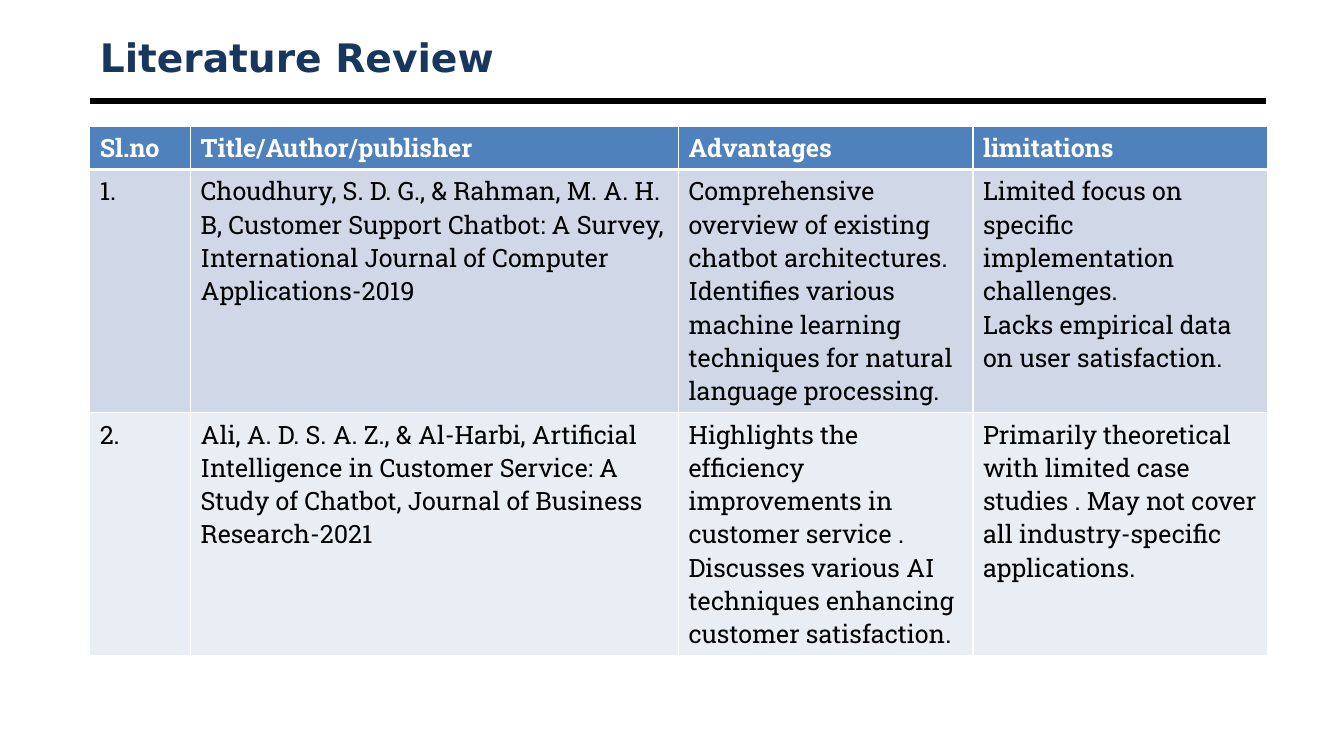
import pptx
import pptx.util
import pptx.dml.color
import pptx.enum.shapes
import pptx.enum.text
import pptx.oxml
import pptx.oxml.ns
import lxml.etree

Inches, Pt = pptx.util.Inches, pptx.util.Pt

# Content
TITLE = "Literature Review"
ROWS = [
    ("Sl.no", "Title/Author/publisher", "Advantages", "limitations"),
    (
        "1.",
        "Choudhury, S. D. G., & Rahman, M. A. H. B, Customer Support Chatbot: "
        "A Survey, International Journal of Computer Applications-2019",
        "Comprehensive overview of existing chatbot architectures.\n"
        "Identifies various machine learning techniques for natural "
        "language processing.",
        "Limited focus on specific implementation challenges.\n"
        "Lacks empirical data on user satisfaction.",
    ),
    (
        "2.",
        "Ali, A. D. S. A. Z., & Al-Harbi, Artificial Intelligence in Customer "
        "Service: A Study of Chatbot, Journal of Business Research-2021",
        "Highlights the efficiency improvements in customer service . "
        "Discusses various AI techniques enhancing customer satisfaction.",
        "Primarily theoretical with limited case studies . "
        "May not cover all industry-specific applications.",
    ),
]

# Theme and layout
THEME = {
    "title": ("DejaVu Sans", 28, "17375E", True),
    "head": ("Roboto Slab", 18, "FFFFFF", True),
    "body": ("Roboto Slab", 18, "000000", False),
    "fills": ("4F81BD", "D0D8E8", "E9EDF4"),
    "rule": "000000",
    "grid": "FFFFFF",
}
LEFT, WIDTH = 0.89, 11.67
COLS = (1, 4.84, 2.92, 2.92)
HEIGHTS = (0.35, 2.17, 2.17)


def color(code):
    return pptx.dml.color.RGBColor.from_string(code)


def style(frame, look):
    name, size, code, bold = THEME[look]
    for para in frame.paragraphs:
        for run in para.runs:
            run.font.name, run.font.size = name, Pt(size)
            run.font.bold = bold
            run.font.color.rgb = color(code)


def edge(cell, side, width):
    space = pptx.oxml.ns.nsdecls("a")
    cell._tc.get_or_add_tcPr().append(pptx.oxml.parse_xml(
        f'<a:ln{side} {space} w="{Pt(width)}"><a:solidFill>'
        f'<a:srgbClr val="{THEME["grid"]}"/></a:solidFill></a:ln{side}>'))


def add_title(slide):
    title = slide.shapes.title
    title.left, title.top = Inches(LEFT), Inches(0.3)
    title.width, title.height = Inches(WIDTH), Inches(0.53)
    frame = title.text_frame
    frame.text = TITLE
    frame.vertical_anchor = pptx.enum.text.MSO_ANCHOR.MIDDLE
    frame.paragraphs[0].alignment = pptx.enum.text.PP_ALIGN.LEFT
    style(frame, "title")


def add_rule(slide):
    rule = slide.shapes.add_connector(
        pptx.enum.shapes.MSO_CONNECTOR.STRAIGHT,
        Inches(LEFT), Inches(1), Inches(LEFT + WIDTH), Inches(1))
    rule.line.color.rgb = color(THEME["rule"])
    rule.line.width = Pt(4.5)
    lxml.etree.SubElement(rule._element.spPr, pptx.oxml.ns.qn("a:effectLst"))


def add_grid(slide):
    table = slide.shapes.add_table(
        len(ROWS), len(COLS), Inches(LEFT), Inches(1.25),
        Inches(sum(COLS)), Inches(sum(HEIGHTS))).table
    for col, width in zip(table.columns, COLS):
        col.width = Inches(width)
    for r, texts in enumerate(ROWS):
        table.rows[r].height = Inches(HEIGHTS[r])
        for c, text in enumerate(texts):
            cell = table.cell(r, c)
            cell.text_frame.text = text
            style(cell.text_frame, "body" if r else "head")
            # The edge between header and body is heavier
            edge(cell, "L", 1)
            edge(cell, "R", 1)
            edge(cell, "T", 3 if r == 1 else 1)
            edge(cell, "B", 3 if r == 0 else 1)
            cell.fill.solid()
            cell.fill.fore_color.rgb = color(THEME["fills"][r])


def main():
    deck = pptx.Presentation()
    deck.slide_width, deck.slide_height = Inches(13.33), Inches(7.5)
    slide = deck.slides.add_slide(deck.slide_layouts[5])
    add_rule(slide)
    add_title(slide)
    add_grid(slide)
    deck.save("out.pptx")


if __name__ == "__main__":
    main()
